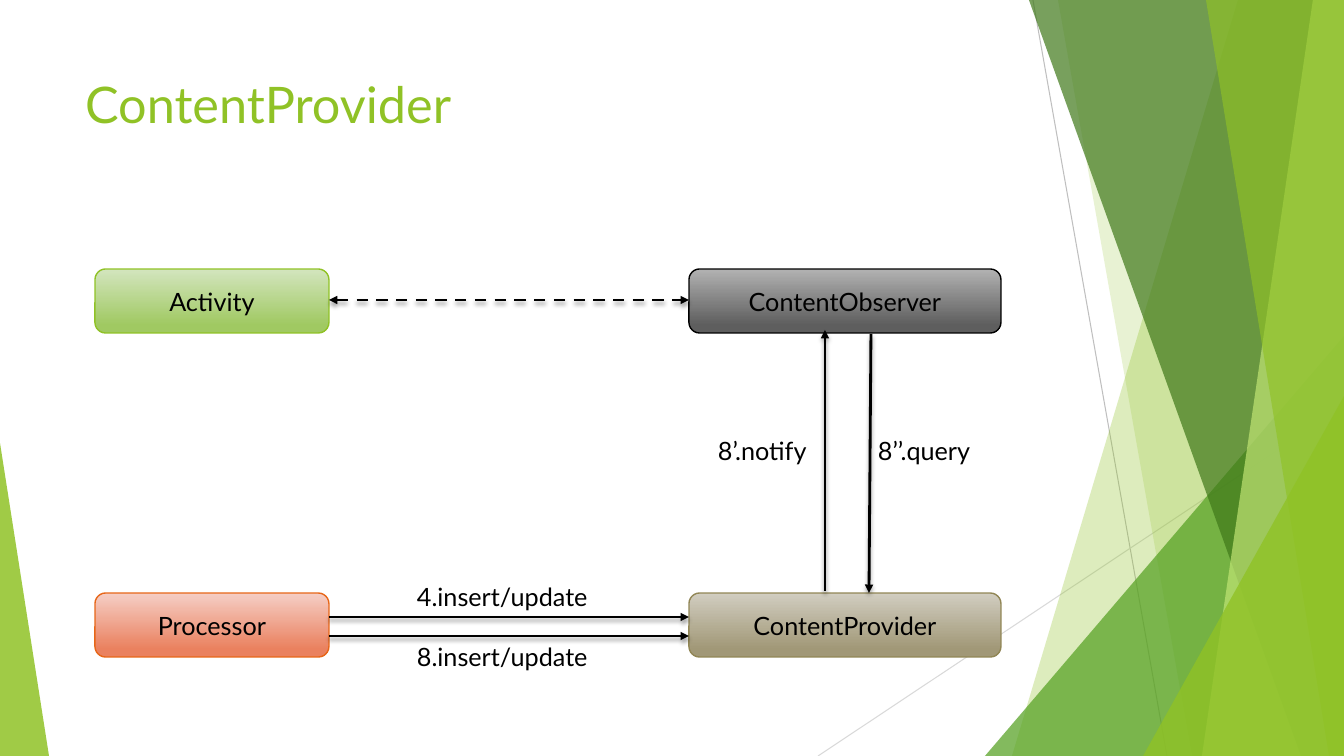
from dataclasses import dataclass

from lxml.etree import SubElement
from pptx import Presentation
from pptx.dml.color import RGBColor
from pptx.enum.dml import MSO_LINE
from pptx.enum.shapes import MSO_CONNECTOR, MSO_SHAPE
from pptx.enum.text import MSO_ANCHOR, MSO_AUTO_SIZE, PP_ALIGN
from pptx.oxml.ns import qn
from pptx.util import Emu, Pt


@dataclass(frozen=True)
class Theme:
    font: str = "Lato"
    title_size: int = 36
    body_size: int = 18
    green: str = "90C226"
    mid_green: str = "54A021"
    dark_green: str = "3F7819"
    pale_green: str = "C0E474"
    ink: str = "000000"
    activity: tuple = ("D3E5BE", "A0C962", "90C226")
    processor: tuple = ("F5CEC5", "EA815F", "E76618")
    observer: tuple = ("B2B2B2", "5E5E5E", "000000")
    provider: tuple = ("D1CDC0", "A19877", "918655")


THEME = Theme()
WIDTH, HEIGHT = 1344, 756
EMU_PER_PX = 914400 / 100.8

TITLE = "ContentProvider"
TITLE_AREA = (75, 68, 948, 145)

# Background lines: start, end, colour
HAIRLINES = [((1033, 0), (1167, HEIGHT), "BFBFBF"), ((WIDTH, 406), (818, HEIGHT), "D9D9D9")]
# Bands reach the right edge: ("band", top x, bottom x, colour, opacity)
# Wedges stand on the bottom edge: ("wedge", left, width, height, apex, colour, opacity)
BACKDROP = [
    ("band", 1238, 1012, THEME.green, 30),
    ("band", 1058, 1192, THEME.green, 20),
    ("wedge", 985, 359, 420, 1, THEME.mid_green, 72),
    ("band", 1029, 1301, THEME.dark_green, 70),
    ("band", 1313, 1202, THEME.pale_green, 70),
    ("band", 1206, 1329, THEME.green, 65),
    ("wedge", 1143, 201, 360, 1, THEME.green, 80),
    ("wedge", 0, 49, 313, 0, THEME.green, 85),
]

COLUMNS = [(95, 234), (689, 312)]  # left, width
ROWS = [269, 593]
BOX_HEIGHT = 64
# Text, column, row, (gradient top, gradient bottom, outline)
BOXES = [
    ("Activity", 0, 0, THEME.activity),
    ("Processor", 0, 1, THEME.processor),
    ("ContentObserver", 1, 0, THEME.observer),
    ("ContentProvider", 1, 1, THEME.provider),
]
LABELS = [
    ("8.insert/update", (407, 636, 202, 40)),
    ("4.insert/update", (407, 576, 202, 40)),
    ("8’.notify", (708, 430, 119, 40)),
    ("8’’.query", (868, 430, 124, 40)),
]
GAP_LEFT, GAP_RIGHT = sum(COLUMNS[0]), COLUMNS[1][0]
# Start, end, dashed with two heads
ARROWS = [
    ((GAP_LEFT, 300), (GAP_RIGHT, 300), True),
    ((825, 591), (825, 330), False),
    ((871, 334), (869, 593), False),
    ((GAP_LEFT, 617), (GAP_RIGHT, 617), False),
    ((GAP_LEFT, 636), (GAP_RIGHT, 636), False),
]


def px(*lengths):
    return [Emu(round(length * EMU_PER_PX)) for length in lengths]


def color(value):
    return RGBColor.from_string(value)


def write(shape, text, size, ink, align, anchor):
    frame = shape.text_frame
    frame.text = text
    frame.vertical_anchor = anchor
    for paragraph in frame.paragraphs:
        paragraph.alignment = align
        for run in paragraph.runs:
            run.font.name = THEME.font
            run.font.size = Pt(size)
            run.font.color.rgb = color(ink)


def fill_translucent(shape, fill, opacity):
    shape.shadow.inherit = False
    shape.fill.solid()
    shape.fill.fore_color.rgb = color(fill)
    shape.line.fill.background()
    for node in shape._element.spPr.iter(qn("a:srgbClr")):
        SubElement(node, qn("a:alpha"), val=str(opacity * 1000))


def add_line(slide, start, end, ink, width):
    """Draw a straight line and return it with its empty effect list."""
    line = slide.shapes.add_connector(MSO_CONNECTOR.STRAIGHT, *px(*start, *end))
    line.line.color.rgb = color(ink)
    line.line.width = Pt(width)
    effects = SubElement(line._element.spPr, qn("a:effectLst"))
    return line, effects


def add_band(slide, top, bottom, fill, opacity):
    builder = slide.shapes.build_freeform(top, 0, scale=EMU_PER_PX)
    builder.add_line_segments([(WIDTH, 0), (WIDTH, HEIGHT), (bottom, HEIGHT)], close=True)
    fill_translucent(builder.convert_to_shape(), fill, opacity)


def add_wedge(slide, left, width, height, apex, fill, opacity):
    area = px(left, HEIGHT - height, width, height)
    wedge = slide.shapes.add_shape(MSO_SHAPE.ISOSCELES_TRIANGLE, *area)
    wedge.adjustments[0] = apex
    fill_translucent(wedge, fill, opacity)


def add_box(slide, text, column, row, colors):
    left, width = COLUMNS[column]
    area = px(left, ROWS[row], width, BOX_HEIGHT)
    box = slide.shapes.add_shape(MSO_SHAPE.ROUNDED_RECTANGLE, *area)
    box.shadow.inherit = False
    box.fill.gradient()
    box.fill.gradient_angle = 270
    for stop, position, shade in zip(box.fill.gradient_stops, (0, 0.88), colors):
        stop.position = position
        stop.color.rgb = color(shade)
    box.line.color.rgb = color(colors[2])
    box.line.width = Pt(1)
    write(box, text, THEME.body_size, THEME.ink, PP_ALIGN.CENTER, MSO_ANCHOR.MIDDLE)


def add_label(slide, text, area):
    label = slide.shapes.add_textbox(*px(*area))
    label.text_frame.word_wrap = False
    label.text_frame.auto_size = MSO_AUTO_SIZE.SHAPE_TO_FIT_TEXT
    write(label, text, THEME.body_size, THEME.ink, PP_ALIGN.LEFT, MSO_ANCHOR.TOP)


def add_arrow(slide, start, end, two_way):
    arrow, effects = add_line(slide, start, end, THEME.ink, 2)
    if two_way:
        arrow.line.dash_style = MSO_LINE.DASH
    outline = arrow._element.spPr.find(qn("a:ln"))
    for tag in ("a:headEnd", "a:tailEnd") if two_way else ("a:tailEnd",):
        SubElement(outline, qn(tag), type="triangle")
    shadow = SubElement(
        effects, qn("a:outerShdw"), blurRad=str(Pt(3)), dist=str(Pt(2)),
        dir="5400000", rotWithShape="0",
    )
    shade = SubElement(shadow, qn("a:srgbClr"), val=THEME.ink)
    SubElement(shade, qn("a:alpha"), val="35000")


def main():
    presentation = Presentation()
    presentation.slide_width, presentation.slide_height = px(WIDTH, HEIGHT)
    slide = presentation.slides.add_slide(presentation.slide_layouts[5])

    title = slide.shapes.title
    title.left, title.top, title.width, title.height = px(*TITLE_AREA)
    write(title, TITLE, THEME.title_size, THEME.green, PP_ALIGN.LEFT, MSO_ANCHOR.TOP)

    for start, end, ink in HAIRLINES:
        add_line(slide, start, end, ink, 0.75)
    painters = {"band": add_band, "wedge": add_wedge}
    for kind, *details in BACKDROP:
        painters[kind](slide, *details)
    for box in BOXES:
        add_box(slide, *box)
    for label in LABELS:
        add_label(slide, *label)
    for arrow in ARROWS:
        add_arrow(slide, *arrow)

    presentation.save("out.pptx")


if __name__ == "__main__":
    main()
